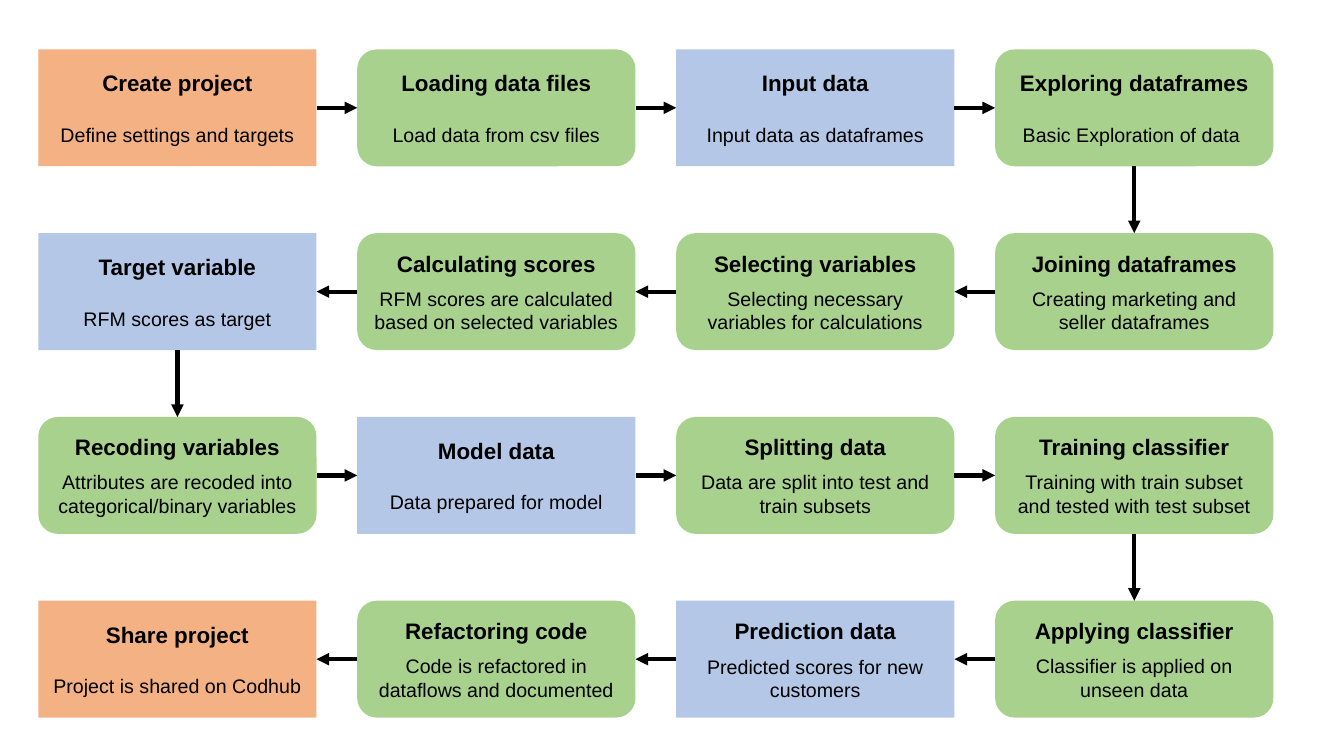
import itertools

import pptx
import pptx.dml.color
import pptx.enum.shapes
import pptx.enum.text
import pptx.oxml
import pptx.oxml.ns
import pptx.util

SHAPES = pptx.enum.shapes.MSO_SHAPE
COLORS = {"project": "F4B183", "process": "A9D18E", "data": "B4C7E7", "ink": "000000"}
KINDS = {
    "project": SHAPES.RECTANGLE,
    "process": SHAPES.ROUNDED_RECTANGLE,
    "data": SHAPES.RECTANGLE,
}
COLUMNS, ROWS = 4, 4
BOX_WIDTH, BOX_HEIGHT = 2.76, 1.16
FLOW_AREA = (0.38, 0.49, 12.25, 6.63)
TOP, LEFT, BOTTOM, RIGHT = range(4)
WIDE_GAP, NARROW_GAP = 19, 7

STEPS = [
    ("project", "Create project", "Define settings and targets", WIDE_GAP),
    ("process", "Loading data files", "Load data from csv files", WIDE_GAP),
    ("data", "Input data", "Input data as dataframes", WIDE_GAP),
    ("process", "Exploring dataframes", "Basic Exploration of data ", WIDE_GAP),
    ("process", "Joining dataframes", "Creating marketing and seller dataframes", NARROW_GAP),
    ("process", "Selecting variables", "Selecting necessary variables for calculations", NARROW_GAP),
    ("process", "Calculating scores", "RFM scores are calculated based on selected variables", NARROW_GAP),
    ("data", "Target variable", "RFM scores as target", WIDE_GAP),
    ("process", "Recoding variables", "Attributes are recoded into categorical/binary variables", NARROW_GAP),
    ("data", "Model data", "Data prepared for model", WIDE_GAP),
    ("process", "Splitting data", "Data are split into test and train subsets", NARROW_GAP),
    ("process", "Training classifier", "Training with train subset and tested with test subset", NARROW_GAP),
    ("process", "Applying classifier", "Classifier is applied on unseen data", NARROW_GAP),
    ("data", "Prediction data", "Predicted scores for new customers", NARROW_GAP + 1),
    ("process", "Refactoring code", "Code is refactored in dataflows and documented", NARROW_GAP),
    ("project", "Share project", "Project is shared on Codhub", WIDE_GAP),
]


def color(name):
    return pptx.dml.color.RGBColor.from_string(COLORS[name])


def write_text(para, text, size, bold=False, space_before=0):
    para.alignment = pptx.enum.text.PP_ALIGN.CENTER
    para.space_before = pptx.util.Pt(space_before)
    span = para.add_run()
    span.text = text
    span.font.name = "Arial"
    span.font.size = pptx.util.Pt(size)
    span.font.bold = bold
    span.font.color.rgb = color("ink")


def add_step(page, left, top, kind, title, detail, gap):
    lengths = [pptx.util.Inches(n) for n in (left, top, BOX_WIDTH, BOX_HEIGHT)]
    box = page.shapes.add_shape(KINDS[kind], *lengths)
    box.shadow.inherit = False
    box.fill.solid()
    box.fill.fore_color.rgb = color(kind)
    box.line.fill.background()
    frame = box.text_frame
    frame.word_wrap = True
    frame.vertical_anchor = pptx.enum.text.MSO_ANCHOR.MIDDLE
    write_text(frame.paragraphs[0], title, size=16, bold=True)
    write_text(frame.add_paragraph(), detail, size=14, space_before=gap)
    return box


def add_arrow(page, source, source_side, target, target_side):
    arrow = page.shapes.add_connector(pptx.enum.shapes.MSO_CONNECTOR.STRAIGHT, 0, 0, 0, 0)
    arrow.begin_connect(source, source_side)
    arrow.end_connect(target, target_side)
    arrow.line.width = pptx.util.Pt(3)
    arrow.line.color.rgb = color("ink")
    line = arrow.line._get_or_add_ln()
    line.append(pptx.oxml.parse_xml(
        f'<a:tailEnd {pptx.oxml.ns.nsdecls("a")} type="triangle"/>'))
    arrow._element.spPr.append(pptx.oxml.parse_xml(
        f'<a:effectLst {pptx.oxml.ns.nsdecls("a")}/>'))


def add_flow(page, left, top, width, height):
    column_pitch = (width - BOX_WIDTH) / (COLUMNS - 1)
    row_pitch = (height - BOX_HEIGHT) / (ROWS - 1)
    boxes = []
    for index, step in enumerate(STEPS):
        row, column = divmod(index, COLUMNS)
        if row % 2:
            column = COLUMNS - 1 - column
        boxes.append(add_step(page, left + column * column_pitch, top + row * row_pitch, *step))
    for index, (source, target) in enumerate(itertools.pairwise(boxes)):
        row, place = divmod(index, COLUMNS)
        if place == COLUMNS - 1:
            sides = BOTTOM, TOP
        elif row % 2:
            sides = LEFT, RIGHT
        else:
            sides = RIGHT, LEFT
        add_arrow(page, source, sides[0], target, sides[1])


def main():
    deck = pptx.Presentation()
    deck.slide_width = pptx.util.Inches(13.33)
    deck.slide_height = pptx.util.Inches(7.5)
    page = deck.slides.add_slide(deck.slide_layouts.get_by_name("Blank"))
    add_flow(page, *FLOW_AREA)
    deck.save("out.pptx")


if __name__ == "__main__":
    main()
